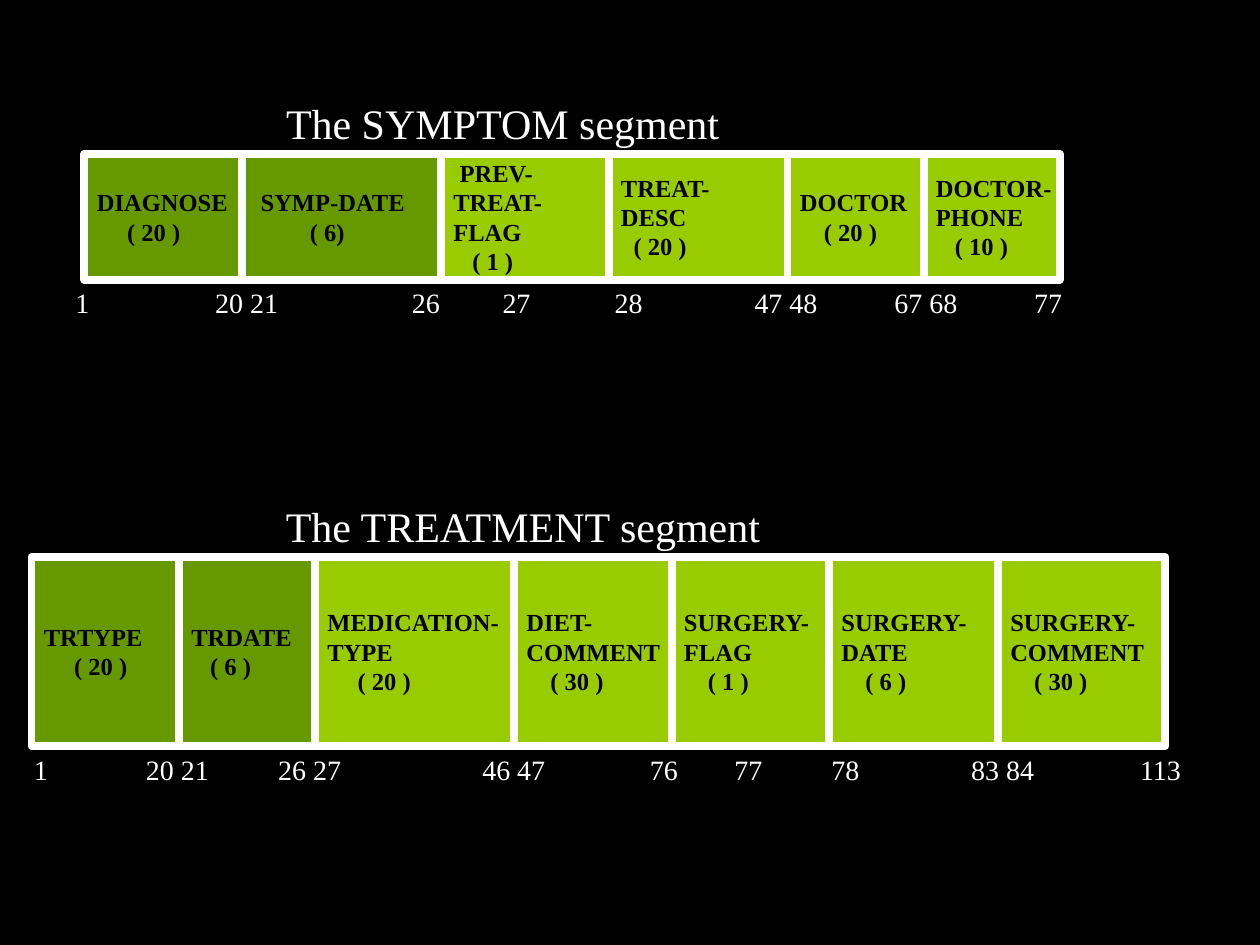
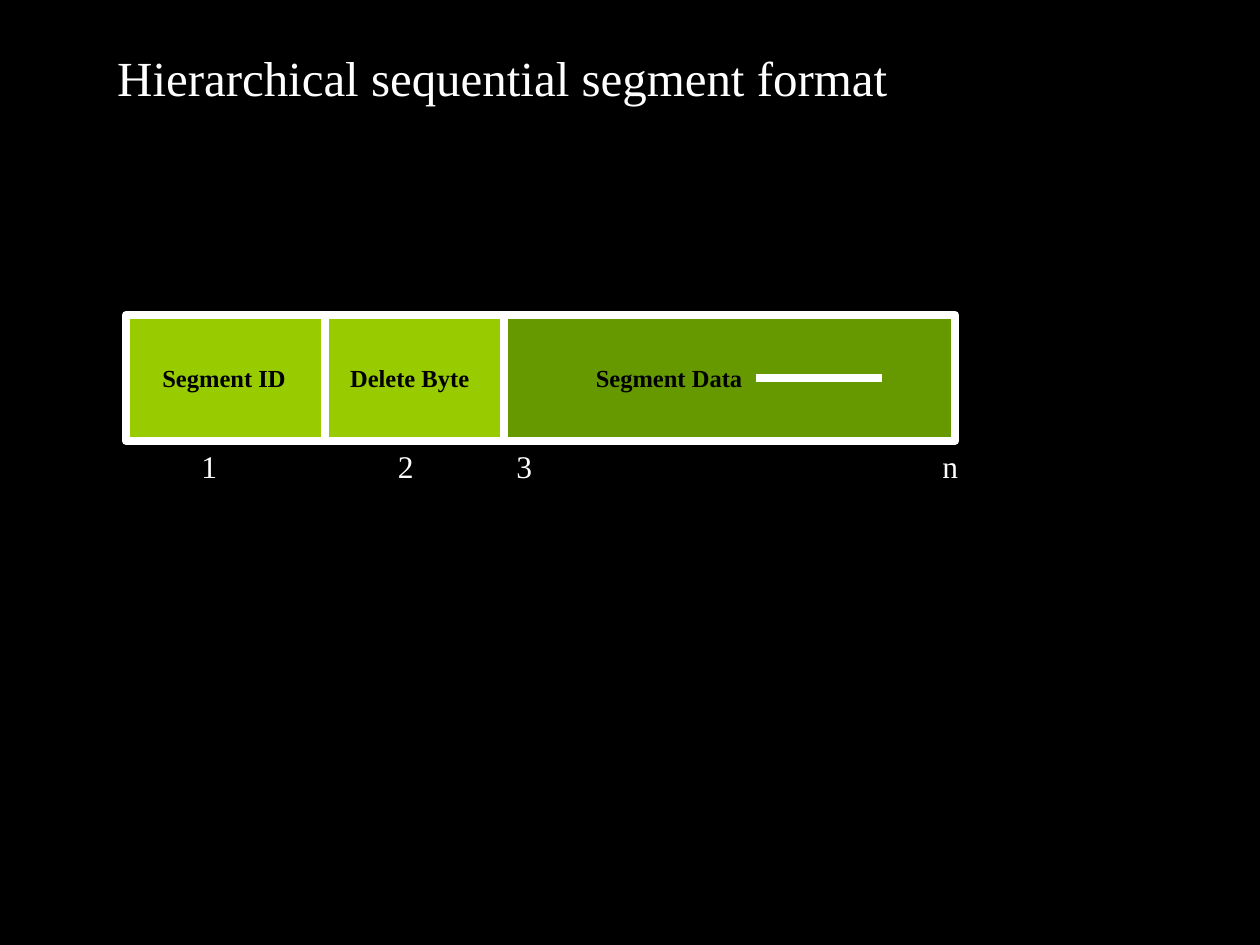
from itertools import pairwise

from lxml import etree
from pptx import Presentation
from pptx.dml.color import RGBColor
from pptx.enum import shapes, text
from pptx.oxml import ns
from pptx.util import Inches, Pt

BLACK = RGBColor(0, 0, 0)
WHITE = RGBColor(255, 255, 255)
KEY = RGBColor(0x66, 0x99, 0)
FIELD = RGBColor(0x99, 0xCC, 0)
FONT = "Times New Roman"
EDGE = Pt(4.5)

SYMPTOM = [
    (KEY, [("DIAGNOSE", 0), ("( 20 )", 0.24)]),
    (KEY, [("SYMP-DATE", 0.05), ("( 6)", 0.44)]),
    (FIELD, [("PREV-", 0.05), ("TREAT-", 0), ("FLAG", 0), ("( 1 )", 0.15)]),
    (FIELD, [("TREAT-", 0), ("DESC", 0), ("( 20 )", 0.1)]),
    (FIELD, [("DOCTOR", 0), ("( 20 )", 0.19)]),
    (FIELD, [("DOCTOR-", 0), ("PHONE", 0), ("( 10 )", 0.15)]),
]
TREATMENT = [
    (KEY, [("TRTYPE", 0), ("( 20 )", 0.24)]),
    (KEY, [("TRDATE", 0), ("( 6 )", 0.15)]),
    (FIELD, [("MEDICATION-", 0), ("TYPE", 0), ("( 20 )", 0.24)]),
    (FIELD, [("DIET-", 0), ("COMMENT", 0), ("( 30 )", 0.19)]),
    (FIELD, [("SURGERY-", 0), ("FLAG", 0), ("( 1 )", 0.19)]),
    (FIELD, [("SURGERY-", 0), ("DATE", 0), ("( 6 )", 0.19)]),
    (FIELD, [("SURGERY-", 0), ("COMMENT", 0), ("( 30 )", 0.19)]),
]
FORMAT = [
    (FIELD, [("Segment ID", 0.19)]),
    (FIELD, [("Delete Byte", 0.1)]),
    (KEY, [("Segment Data", 0.63)]),
]
TEAR = [
    (6.71, 2.52),
    (6.67, 2.65), (6.7, 2.69), (6.79, 2.75),
    (6.82, 2.8), (6.89, 2.88), (6.83, 2.94),
    (6.82, 2.95), (6.69, 2.98), (6.69, 2.98),
    (6.65, 2.99), (6.56, 3.02), (6.56, 3.02),
    (6.55, 3.04), (6.53, 3.06), (6.52, 3.08),
    (6.5, 3.12), (6.52, 3.18), (6.48, 3.21),
    (6.42, 3.25), (6.35, 3.27), (6.29, 3.31),
    (6.25, 3.37), (6.23, 3.41), (6.23, 3.48),
]


def style(para, size, color, bold=False):
    para.alignment = text.PP_ALIGN.LEFT
    font = para.font
    font.name, font.size, font.bold = FONT, Pt(size), bold
    font.color.rgb = color


def place(shape, left, top, width, height):
    shape.left, shape.top = Inches(left), Inches(top)
    shape.width, shape.height = Inches(width), Inches(height)


def add_box(slide):
    return slide.shapes.add_textbox(0, 0, 0, 0)


def set_head(shape, words, spot, size=24):
    place(shape, *spot)
    frame = shape.text_frame
    frame.word_wrap = True
    frame.auto_size = text.MSO_AUTO_SIZE.NONE
    frame.vertical_anchor = text.MSO_ANCHOR.TOP
    frame.text = words
    style(frame.paragraphs[0], size, WHITE)


def add_cell(slide, left, right, top, height, color, lines):
    cell = slide.shapes.add_shape(shapes.MSO_SHAPE.RECTANGLE, 0, 0, 0, 0)
    place(cell, left, top, right - left, height)
    cell.shadow.inherit = False
    cell.fill.solid()
    cell.fill.fore_color.rgb = color
    cell.line.color.rgb = WHITE
    cell.line.width = EDGE
    frame = cell.text_frame
    frame.word_wrap = True
    frame.margin_right = 0
    frame.vertical_anchor = text.MSO_ANCHOR.MIDDLE
    frame.text = "\n".join(words for words, _ in lines)
    for para, (_, indent) in zip(frame.paragraphs, lines):
        para._p.get_or_add_pPr().set("marL", str(Inches(indent)))
        style(para, 14, BLACK, True)


def add_row(slide, edges, top, height, cells):
    for (left, right), (color, lines) in zip(pairwise(edges), cells):
        add_cell(slide, left, right, top, height, color, lines)


def add_scale(slide, spot, marks, stops, size=16):
    box = add_box(slide)
    place(box, *spot)
    frame = box.text_frame
    frame.word_wrap = True
    frame.text = "\t".join(marks)
    para = frame.paragraphs[0]
    tabs = etree.SubElement(para._p.get_or_add_pPr(), ns.qn("a:tabLst"))
    for stop in stops:
        etree.SubElement(tabs, ns.qn("a:tab"), pos=str(Inches(stop)), algn="l")
    style(para, size, WHITE)


def trace(knots, steps=8):
    points = [knots[0]]
    for i in range(0, len(knots) - 1, 3):
        a, b, c, d = knots[i:i + 4]
        for n in range(1, steps + 1):
            t = n / steps
            s = 1 - t
            points.append(tuple(
                s**3 * p + 3 * s * s * t * q + 3 * s * t * t * r + t**3 * e
                for p, q, r, e in zip(a, b, c, d)))
    return points


def add_curve(slide, knots):
    first, *rest = trace(knots)
    pen = slide.shapes.build_freeform(*first, scale=Inches(1))
    pen.add_line_segments(rest, close=False)
    curve = pen.convert_to_shape()
    curve.shadow.inherit = False
    curve.fill.background()
    curve.line.color.rgb = WHITE
    curve.line.width = EDGE


def draw_fields(slide):
    set_head(slide.shapes.title, "The SYMPTOM segment", (2.17, 0.72, 3.75, 0.5))
    add_row(slide, [0.67, 1.92, 3.5, 4.83, 6.25, 7.33, 8.41], 1.22, 1, SYMPTOM)
    add_scale(slide, (0.5, 2.22, 8.42, 0.37),
              ["1", "20 21", "26", "27", "28", "47 48", "67 68", "77"],
              [1.11, 2.67, 3.39, 4.28, 5.39, 6.5, 7.61])
    set_head(add_box(slide), "The TREATMENT segment", (2.17, 3.92, 4.17, 0.5))
    add_row(slide, [0.25, 1.42, 2.5, 4.08, 5.33, 6.58, 7.92, 9.25],
            4.42, 1.5, TREATMENT)
    add_scale(slide, (0.17, 5.92, 9.83, 0.37),
              ["1", "20 21", "26 27", "46 47", "76", "77", "78", "83 84", "113"],
              [0.89, 1.94, 3.56, 4.89, 5.56, 6.33, 7.44, 8.78])


def draw_format(slide):
    set_head(slide.shapes.title, "Hierarchical sequential segment format",
             (0.83, 0.33, 6.5, 0.57), 28)
    add_row(slide, [1, 2.58, 4, 7.58], 2.5, 1, FORMAT)
    add_scale(slide, (1.5, 3.5, 6.75, 0.4), ["1", "2", "3", "n"],
              [1.56, 2.5, 5.88], 18)
    add_curve(slide, TEAR)


def main():
    deck = Presentation()
    deck.slide_width, deck.slide_height = Inches(10), Inches(7.5)
    back = deck.slide_master.background.fill
    back.solid()
    back.fore_color.rgb = BLACK
    for draw in (draw_fields, draw_format):
        draw(deck.slides.add_slide(deck.slide_layouts[5]))
    deck.save("out.pptx")


if __name__ == "__main__":
    main()
